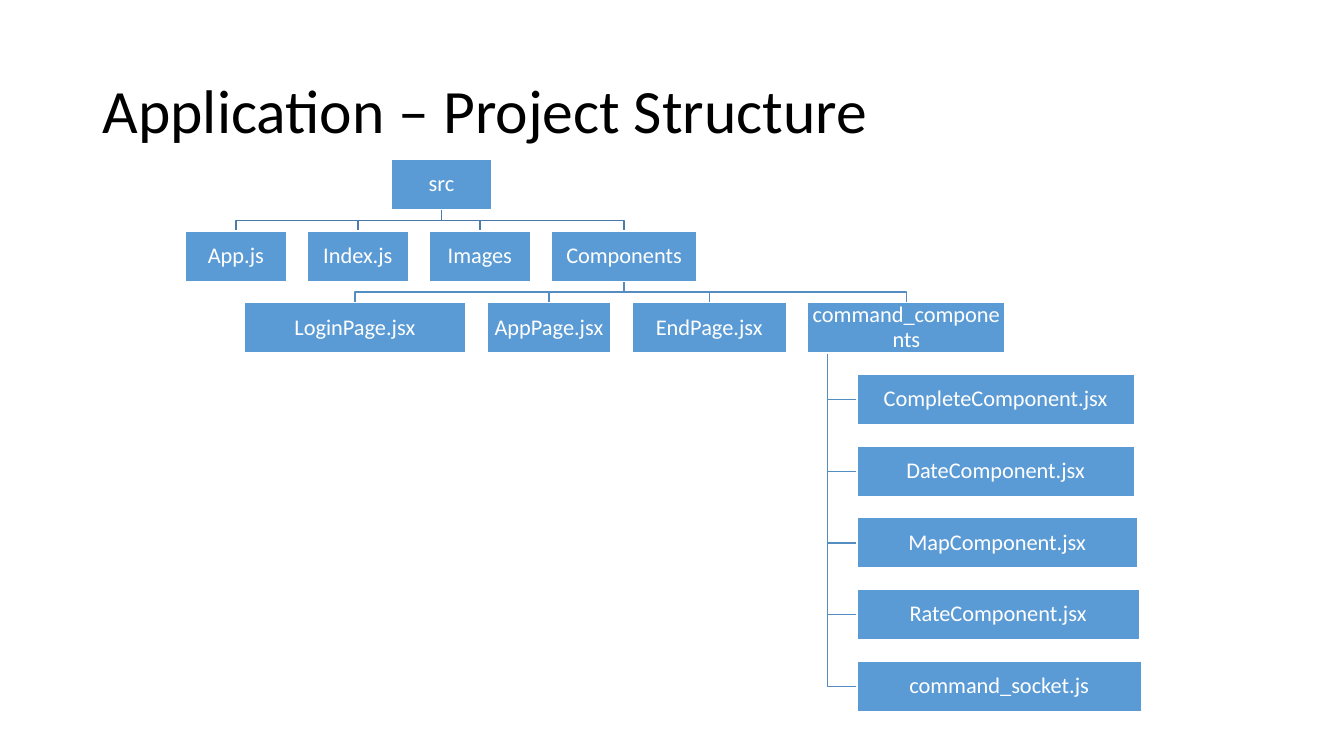
import pptx
import pptx.util
import pptx.dml.color
import pptx.enum.shapes
import pptx.enum.text

COLORS = {
    "box": "5B9BD5",
    "upper_line": "497CAB",
    "lower_line": "538DC1",
    "white": "FFFFFF",
    "title": "000000",
}
TREE_TOP = 1.58
ROW_PITCH = (6.56 - TREE_TOP) / 7
BOX_HEIGHT = 0.5
SIBLING_GAP = 0.21
STEM_SHARE = 0.1

SOURCE_ROW = [("src", 1)]
FILE_ROW = [("App.js", 1), ("Index.js", 1), ("Images", 1), ("Components", 1.44)]
PAGE_ROW = [
    ("LoginPage.jsx", 2.2),
    ("AppPage.jsx", 1.23),
    ("EndPage.jsx", 1.53),
    ("command_components", 1.96),
]
COMMAND_COLUMN = [
    ("CompleteComponent.jsx", 2.75),
    ("DateComponent.jsx", 2.75),
    ("MapComponent.jsx", 2.78),
    ("RateComponent.jsx", 2.8),
    ("command_socket.js", 2.82),
]

TITLE_FRAME = {"word_wrap": True, "vertical_anchor": pptx.enum.text.MSO_ANCHOR.MIDDLE}
BOX_FRAME = TITLE_FRAME | {
    f"margin_{side}": pptx.util.Inches(0.01) for side in ("left", "top", "right", "bottom")
}
TITLE_PARAGRAPH = {"line_spacing": 0.9, "alignment": pptx.enum.text.PP_ALIGN.LEFT}
BOX_PARAGRAPH = {"line_spacing": 0.9, "alignment": pptx.enum.text.PP_ALIGN.CENTER}
TITLE_FONT = {"name": "Calibri", "size": pptx.util.Pt(44)}
BOX_FONT = {"name": "Calibri", "size": pptx.util.Pt(16)}


def color(name):
    return pptx.dml.color.RGBColor.from_string(COLORS[name])


def apply_format(target, values):
    for attribute, value in values.items():
        setattr(target, attribute, value)


def write_text(shape, text, frame_format, paragraph_format, font_format, font_color):
    apply_format(shape.text_frame, frame_format)
    paragraph = shape.text_frame.paragraphs[0]
    apply_format(paragraph, paragraph_format)
    run = paragraph.add_run()
    run.text = text
    apply_format(run.font, font_format)
    run.font.color.rgb = color(font_color)


def set_line(shape, line_color):
    shape.shadow.inherit = False
    shape.line.color.rgb = color(line_color)
    shape.line.width = pptx.util.Pt(1)


def row_top(row):
    return TREE_TOP + row * ROW_PITCH


def lay_out_row(items, left, row):
    boxes = []
    for text, width in items:
        boxes.append((text, left, row_top(row), width))
        left += width + SIBLING_GAP
    return boxes


def lay_out_column(items, left, first_row):
    return [
        (text, left, row_top(row), width)
        for row, (text, width) in enumerate(items, first_row)
    ]


def center(box):
    text, left, top, width = box
    return left + width / 2


def add_title(slide, presentation, text):
    width, height = presentation.slide_width, presentation.slide_height
    shape = slide.shapes.add_textbox(
        round(width * 0.069), round(height * 0.053), round(width * 0.863), round(height * 0.193)
    )
    write_text(shape, text, TITLE_FRAME, TITLE_PARAGRAPH, TITLE_FONT, "title")


def add_box(slide, box):
    text, left, top, width = box
    shape = slide.shapes.add_shape(
        pptx.enum.shapes.MSO_SHAPE.RECTANGLE,
        *map(pptx.util.Inches, (left, top, width, BOX_HEIGHT)),
    )
    shape.fill.solid()
    shape.fill.fore_color.rgb = color("box")
    set_line(shape, "white")
    write_text(shape, text, BOX_FRAME, BOX_PARAGRAPH, BOX_FONT, "white")


def add_path(slide, points, line_color):
    points = [tuple(map(pptx.util.Inches, point)) for point in points]
    builder = slide.shapes.build_freeform(*points[0])
    builder.add_line_segments(points[1:], close=False)
    shape = builder.convert_to_shape()
    shape.fill.background()
    set_line(shape, line_color)


def add_branches(slide, parent, children, line_color):
    start = parent[2] + BOX_HEIGHT
    for child in children:
        end = child[2]
        middle = (start + end) / 2
        points = [
            (center(parent), start),
            (center(parent), middle),
            (center(child), middle),
            (center(child), end),
        ]
        add_path(slide, points, line_color)


def add_hanging_branches(slide, parent, children, line_color):
    text, left, top, width = parent
    stem = left + width * STEM_SHARE
    for child in reversed(children):
        level = child[2] + BOX_HEIGHT / 2
        points = [(stem, top + BOX_HEIGHT), (stem, level), (child[1], level)]
        add_path(slide, points, line_color)


def main():
    presentation = pptx.Presentation()
    presentation.slide_width = pptx.util.Inches(13.33)
    presentation.slide_height = pptx.util.Inches(7.5)
    slide = presentation.slides.add_slide(presentation.slide_layouts[6])
    add_title(slide, presentation, "Application – Project Structure")

    source = lay_out_row(SOURCE_ROW, 3.88, 0)
    files = lay_out_row(FILE_ROW, 1.84, 1)
    pages = lay_out_row(PAGE_ROW, 2.42, 2)
    commands = lay_out_column(COMMAND_COLUMN, 8.5, 3)

    add_hanging_branches(slide, pages[-1], commands, "lower_line")
    add_branches(slide, files[-1], pages, "lower_line")
    add_branches(slide, source[0], files, "upper_line")
    for box in source + files + pages + commands:
        add_box(slide, box)

    presentation.save("out.pptx")


if __name__ == "__main__":
    main()
